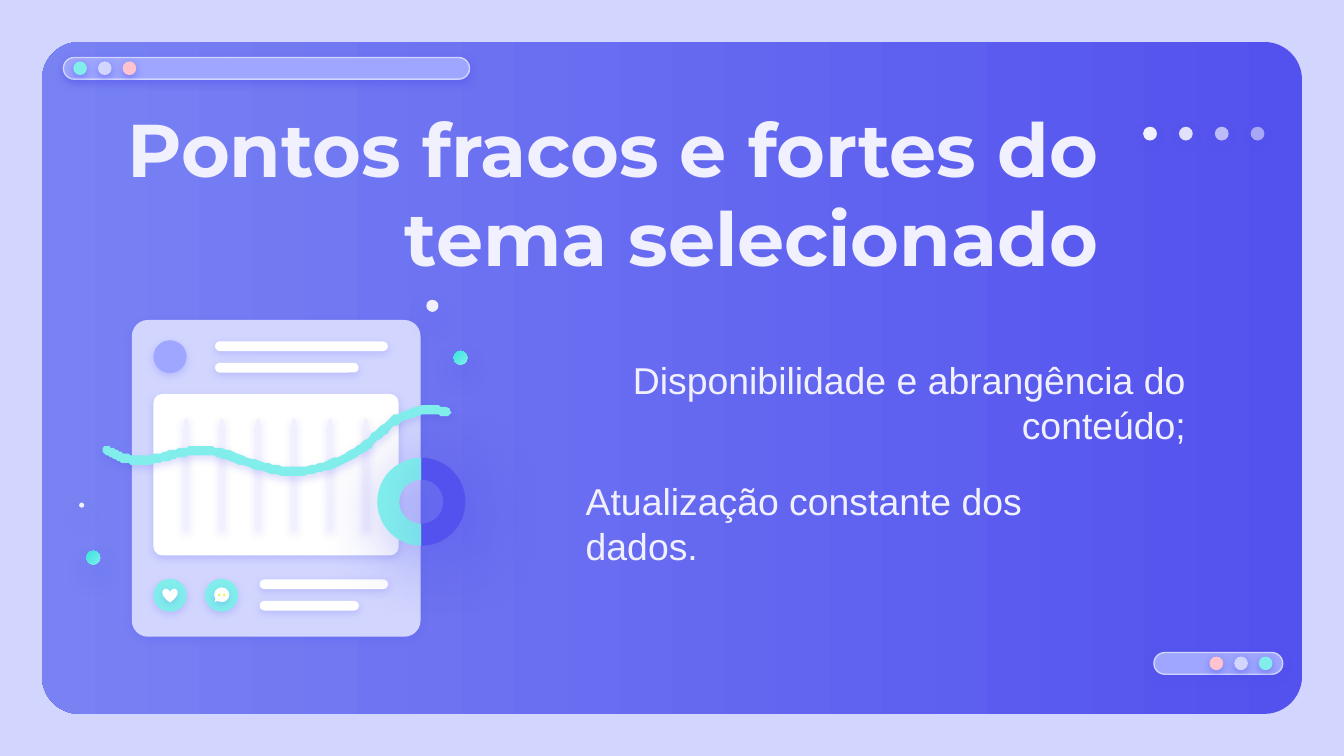
from math import atan2, cos, pi, sin

from lxml.etree import SubElement
from pptx import Presentation
from pptx.dml.color import RGBColor
from pptx.enum.shapes import MSO_SHAPE
from pptx.enum.text import MSO_ANCHOR, PP_ALIGN
from pptx.oxml.ns import qn
from pptx.util import Pt

COLORS = {
    "pale": "D2D6FF", "periwinkle": "9EA6FF", "blue": "5352EE",
    "light_blue": "7882F3", "teal": "81EEEB", "deep_teal": "3AE4DF",
    "pink": "FFC3D0", "white": "FFFFFF", "ice": "F1F0FF", "lime": "DEFF3F",
}
SHADOWS = {
    "bar": (50, 4.5, 1.5, 90), "card": (20, 4.5, 1.5, 90),
    "ring": (67, 38.2, 9, 49), "bubble": (38, 12.4, 6.8, 90),
}


def rgb(name):
    return RGBColor.from_string(COLORS[name])


def paint(sp, fill, shadow=None, line=None, alpha=100):
    if isinstance(fill, tuple):
        start, end, angle = fill
        sp.fill.gradient()
        sp.fill.gradient_angle = angle
        for stop, name, pos in zip(sp.fill.gradient_stops, (start, end), (0, 1)):
            stop.color.rgb = rgb(name)
            stop.position = pos
    else:
        sp.fill.solid()
        sp.fill.fore_color.rgb = rgb(fill)
    if alpha < 100:
        color = sp._element.spPr.find(qn("a:solidFill"))[0]
        SubElement(color, qn("a:alpha"), val=str(alpha * 1000))
    if line:
        sp.line.color.rgb = rgb(line)
        sp.line.width = Pt(0.75)
    else:
        sp.line.fill.background()
    sp.shadow.inherit = False
    if shadow:
        opacity, blur, dist, angle = SHADOWS[shadow]
        effects = sp._element.spPr.find(qn("a:effectLst"))
        outer = SubElement(effects, qn("a:outerShdw"), blurRad=str(Pt(blur)),
                           dist=str(Pt(dist)), dir=str(angle * 60000),
                           algn="bl", rotWithShape="0")
        color = SubElement(outer, qn("a:srgbClr"), val=COLORS["blue"])
        SubElement(color, qn("a:alpha"), val=str(opacity * 1000))
    return sp


def add_shape(s, kind, box, fill, shadow=None, adj=(), rotation=0, **style):
    sp = s.shapes.add_shape(kind, *map(Pt, box))
    for i, value in enumerate(adj):
        sp.adjustments[i] = value
    sp.rotation = rotation
    return paint(sp, fill, shadow, **style)


def add_pill(s, box, fill, shadow, radius=0.5, **style):
    return add_shape(s, MSO_SHAPE.ROUNDED_RECTANGLE, box, fill, shadow, (radius,), **style)


def add_dot(s, box, fill, shadow, **style):
    return add_shape(s, MSO_SHAPE.OVAL, box, fill, shadow, **style)


def add_text(s, box, text, inset, bold=False, anchor=MSO_ANCHOR.TOP,
             align=PP_ALIGN.LEFT, font="Arial", size=20):
    tf = s.shapes.add_textbox(*map(Pt, box)).text_frame
    frame = {"word_wrap": True, "vertical_anchor": anchor,
             "margin_left": Pt(7.2), "margin_right": Pt(7.2),
             "margin_top": Pt(inset), "margin_bottom": Pt(inset)}
    for key, value in frame.items():
        setattr(tf, key, value)
    p = tf.paragraphs[0]
    p.alignment = align
    r = p.add_run()
    r.text = text
    for key, value in {"name": font, "size": Pt(size), "bold": bold}.items():
        setattr(r.font, key, value)
    r.font.color.rgb = rgb("ice")


def add_toolbar(s, box, names, first):
    x, y, w, h = box
    add_pill(s, box, "periwinkle", "bar", line="pale")
    d = 7.3
    for i, name in enumerate(names):
        add_dot(s, (x + first + 13.2 * i, y + (h - d) / 2, d, d), name, "bar")


def add_fading_dots(s, box):
    x, y, w, h = box
    for i, alpha in enumerate((100, 90, 67, 54)):
        add_dot(s, (x + i * (w - h) / 3, y, h, h), "ice", "bar", alpha=alpha)


def curve(points, steps=8):
    padded = [points[0], *points, points[-1]]
    for a, b, c, d in zip(padded, padded[1:], padded[2:], padded[3:]):
        for k in range(steps):
            t = k / steps
            yield tuple(
                q + t * (r - p) / 2 + t**2 * (2 * p - 5 * q + 4 * r - u) / 2
                + t**3 * (3 * q - p - 3 * r + u) / 2
                for p, q, r, u in zip(a, b, c, d))
    yield points[-1]


def add_wave(s, box, thickness=4.9):
    x, y, w, h = box
    knots = [(2.6, 24.3), (10, 27.7), (18.6, 29.3), (28.8, 28.5), (41, 25.6),
             (52.5, 24.2), (65, 26), (83.5, 32.3), (103, 35.5), (120.5, 32),
             (136, 24.8), (147, 16), (157.5, 7.4), (170, 2.9), (176, 2.4),
             (184, 3.4)]
    spine = list(curve([(x + a, y + b) for a, b in knots]))
    half = thickness / 2
    headings = [atan2(n[1] - m[1], n[0] - m[0])
                for m, n in zip(spine[:1] + spine, spine[1:] + spine[-1:])]

    def offset(i, turn):
        angle = headings[i] + turn
        return spine[i][0] + half * cos(angle), spine[i][1] + half * sin(angle)

    last = len(spine) - 1
    outline = [offset(i, -pi / 2) for i in range(last + 1)]
    outline += [offset(last, -pi / 2 + pi * k / 6) for k in range(1, 6)]
    outline += [offset(i, pi / 2) for i in range(last, -1, -1)]
    outline += [offset(0, pi / 2 + pi * k / 6) for k in range(1, 6)]
    fb = s.shapes.build_freeform(*outline[0], scale=Pt(1))
    fb.add_line_segments(outline[1:], close=True)
    paint(fb.convert_to_shape(), "teal", "card")


def add_post_card(s, box):
    x, y, w, h = box
    add_pill(s, box, "pale", "card", 0.056)
    for dx, dy, width in ((44.6, 11.5, 92.6), (44.6, 23, 77),
                          (68.5, 139, 68.8), (68.5, 150.5, 53.2)):
        add_pill(s, (x + dx, y + dy, width, 5.2), "white", "card")
    add_pill(s, (x + 11.6, y + 39.7, 131.4, 86.5), "white", "card", 0.055)
    for dx, dy, name in ((11.6, 10.9, "periwinkle"), (11.6, 138.7, "teal"),
                         (39.2, 138.7, "teal")):
        add_dot(s, (x + dx, y + dy, 17.8, 17.6), name, "card")
    add_shape(s, MSO_SHAPE.HEART, (x + 16.4, y + 143.9, 8.2, 7.4), "white", "card")
    add_shape(s, MSO_SHAPE.OVAL_CALLOUT, (x + 44.1, y + 143.3, 8.2, 7.9),
              "white", "card", (-0.46, 0.48))
    for dx in (46.3, 48.9):
        add_dot(s, (x + dx, y + 146.7, 1.2, 1.2), "lime", "card")
    for i in range(6):
        add_pill(s, (x + 28 + 19.25 * i, y + 53, 2.4, 60), "ice", "card")


def add_ring(s, box):
    for rotation, name in ((270, "teal"), (90, "blue")):
        add_shape(s, MSO_SHAPE.BLOCK_ARC, box, name, "ring", (108, 0, 0.25), rotation)


def add_illustration(s, box):
    x, y, w, h = box
    add_post_card(s, (x + 28.2, y + 10.8, 154.7, 169.7))
    add_wave(s, (x + 12.7, y + 56.6, 186.5, 38.2))
    add_ring(s, (x + 159.7, y + 84.6, 47.2, 47.2))
    teal = ("teal", "deep_teal", 135)
    for dx, dy, d, fill in ((200.6, 27.4, 7.4, teal), (186, 0, 6.5, "ice"),
                            (3.9, 134.5, 7.4, teal), (0, 108.7, 2.7, "ice")):
        add_dot(s, (x + dx, y + dy, d, d), fill, "bubble")


def main():
    prs = Presentation()
    prs.slide_width, prs.slide_height = Pt(720), Pt(405)
    s = prs.slides.add_slide(prs.slide_layouts[6])
    s.background.fill.solid()
    s.background.fill.fore_color.rgb = rgb("pale")
    add_pill(s, (22.5, 22.5, 675, 360), ("blue", "light_blue", 180), None, 0.056)
    dots = ("teal", "pale", "pink")
    add_toolbar(s, (34, 30.8, 217.6, 11.6), dots, 5.3)
    add_toolbar(s, (618.2, 349.6, 69, 11.6), dots[::-1], 29.8)
    add_text(s, (0, 51.8, 595.4, 102.2), "Pontos fracos e fortes do tema selecionado",
             7.2, True, MSO_ANCHOR.MIDDLE, PP_ALIGN.RIGHT, "Montserrat", 40)
    add_text(s, (297.4, 184.3, 345.1, 27.4),
             "Disponibilidade e abrangência do conteúdo;", 7.2, align=PP_ALIGN.RIGHT)
    add_illustration(s, (42.4, 160.6, 208, 180.5))
    add_fading_dots(s, (612.4, 67.9, 65, 7.4))
    add_text(s, (306.7, 252.7, 275.8, 31.7), "Atualização constante dos dados.", 3.6)
    prs.save("out.pptx")


if __name__ == "__main__":
    main()
